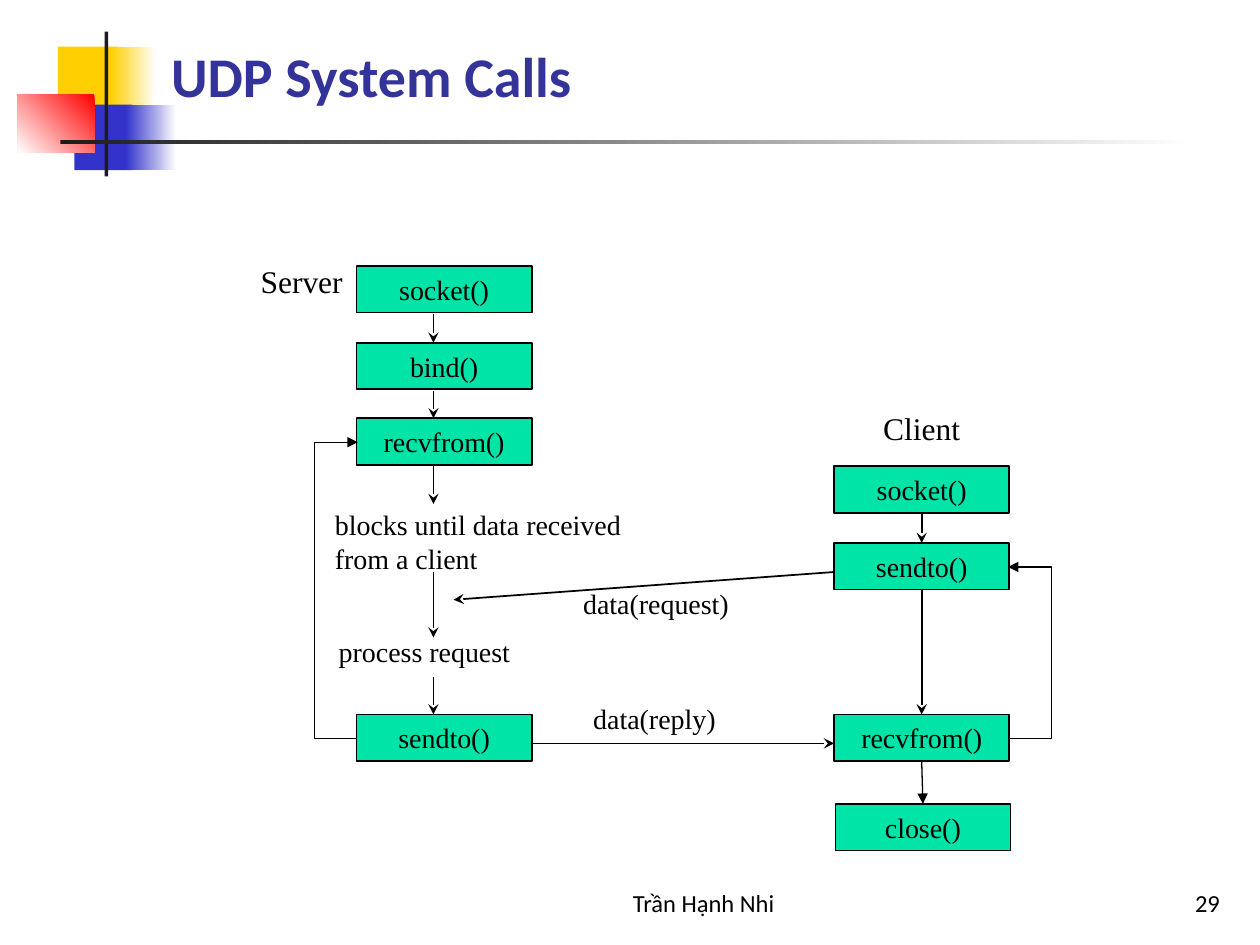
from lxml.etree import SubElement
from pptx import Presentation
from pptx.dml.color import RGBColor
from pptx.enum.shapes import MSO_CONNECTOR, MSO_SHAPE
from pptx.enum.text import MSO_ANCHOR, PP_ALIGN
from pptx.oxml.ns import qn
from pptx.util import Inches, Pt

WHITE = RGBColor(0xFF, 0xFF, 0xFF)
BLACK = RGBColor(0, 0, 0)
YELLOW = RGBColor(0xFF, 0xCF, 0x01)
BLUE = RGBColor(0x33, 0x33, 0xCC)
RED = RGBColor(0xFF, 0, 0)
CHARCOAL = RGBColor(0x1C, 0x1C, 0x1C)
NAVY = RGBColor(0x33, 0x33, 0x99)
GREEN = RGBColor(0, 0xE4, 0xA8)

SERIF = "Times New Roman"
SANS = "Calibri"
CALL_WIDTH, CALL_HEIGHT = 1.39, 0.37
SERVER_LEFT, CLIENT_LEFT = 2.83, 6.62
SERVER_ARROW_X = 3.44
LOOP_REACH, LOOP_INSET = 0.34, 0.01


def write(paragraph, text, size, font=SERIF, color=BLACK, bold=False):
    span = paragraph.add_run()
    span.text = text
    span.font.size = Pt(size)
    span.font.name = font
    span.font.color.rgb = color
    span.font.bold = bold


def add_rectangle(page, left, top, width, height):
    box = page.shapes.add_shape(
        MSO_SHAPE.RECTANGLE, Inches(left), Inches(top), Inches(width), Inches(height)
    )
    box.shadow.inherit = False
    return box


def add_ornament(page, place, color, fade_angle=None):
    box = add_rectangle(page, *place)
    box.line.fill.background()
    if fade_angle is None:
        box.fill.solid()
        box.fill.fore_color.rgb = color
        return
    box.fill.gradient()
    box.fill.gradient_angle = fade_angle
    for stop, shade in zip(box.fill.gradient_stops, (color, WHITE)):
        stop.color.rgb = shade


def add_call(page, left, top, name):
    box = add_rectangle(page, left, top, CALL_WIDTH, CALL_HEIGHT)
    box.fill.solid()
    box.fill.fore_color.rgb = GREEN
    box.line.color.rgb = BLACK
    box.line.width = Pt(1)
    box.text_frame.word_wrap = False
    box.text_frame.vertical_anchor = MSO_ANCHOR.MIDDLE
    paragraph = box.text_frame.paragraphs[0]
    paragraph.alignment = PP_ALIGN.CENTER
    write(paragraph, name, 16)
    return box


def add_text(page, place, text, size, align=PP_ALIGN.LEFT, anchor=MSO_ANCHOR.TOP,
             before=0, **style):
    box = page.shapes.add_textbox(*map(Inches, place))
    box.text_frame.word_wrap = True
    box.text_frame.vertical_anchor = anchor
    paragraph = box.text_frame.paragraphs[0]
    paragraph.alignment = align
    paragraph.space_before = Pt(before)
    write(paragraph, text, size, **style)


def add_arrow(page, start, end, head="stealth", width=1, kind=MSO_CONNECTOR.STRAIGHT):
    arrow = page.shapes.add_connector(kind, *map(Inches, (*start, *end)))
    arrow.line.color.rgb = BLACK
    arrow.line.width = Pt(width)
    SubElement(arrow.line._get_or_add_ln(), qn("a:tailEnd"), type=head)
    SubElement(arrow._element.spPr, qn("a:effectLst"))
    return arrow


def join_down(page, upper, lower, **style):
    arrow = add_arrow(page, (0, 0), (1, 1), **style)
    arrow.begin_connect(upper, 2)
    arrow.end_connect(lower, 0)


def add_loop(page, side, inward, start_y, end_y):
    arrow = add_arrow(
        page, (side, start_y), (side + inward * LOOP_INSET, end_y),
        head="triangle", width=0.75, kind=MSO_CONNECTOR.ELBOW,
    )
    guides = arrow._element.spPr.find(qn("a:prstGeom")).get_or_add_avLst()
    bend = round(-LOOP_REACH / LOOP_INSET * 100000)
    SubElement(guides, qn("a:gd"), name="adj1", fmla=f"val {bend}")


def add_header(page):
    add_ornament(page, (0.46, 0.37, 0.48, 0.52), YELLOW)
    add_ornament(page, (0.88, 0.37, 0.36, 0.52), YELLOW, 0)
    add_ornament(page, (0.59, 0.83, 0.46, 0.52), BLUE)
    add_ornament(page, (1, 0.83, 0.4, 0.52), BLUE, 0)
    add_ornament(page, (0.14, 0.75, 0.61, 0.46), RED, 225)
    add_ornament(page, (0.83, 0.25, 0.03, 1.15), CHARCOAL)
    add_ornament(page, (0.48, 1.11, 9, 0.03), CHARCOAL, 0)
    add_text(page, (1.26, 0.23, 8.52, 0.68), "UDP System Calls", 32,
             anchor=MSO_ANCHOR.BOTTOM, font=SANS, color=NAVY, bold=True)


def add_server(page):
    add_text(page, (1.97, 2.03, 1.33, 0.4), "Server", 18, before=11.2)
    calls = (("socket()", 2.11), ("bind()", 2.72), ("recvfrom()", 3.32), ("sendto()", 5.67))
    for name, top in calls:
        add_call(page, SERVER_LEFT, top, name)
    for start, end in ((2.49, 2.72), (3.1, 3.32), (3.7, 4), (4.54, 5.06), (5.37, 5.67)):
        add_arrow(page, (SERVER_ARROW_X, start), (SERVER_ARROW_X, end))
    add_text(page, (2.56, 3.98, 2.94, 0.63),
             "blocks until data received from a client", 16, before=10)
    add_text(page, (2.59, 4.99, 1.94, 0.37), "process request", 16, before=10)
    add_loop(page, SERVER_LEFT, 1, 5.86, 3.51)


def add_client(page):
    add_text(page, (6.73, 3.2, 1.17, 0.4), "Client", 18, PP_ALIGN.CENTER, before=11.2)
    opening = add_call(page, CLIENT_LEFT, 3.7, "socket()")
    sending = add_call(page, CLIENT_LEFT, 4.31, "sendto()")
    receiving = add_call(page, CLIENT_LEFT, 5.67, "recvfrom()")
    closing = add_call(page, CLIENT_LEFT + 0.01, 6.38, "close()")
    join_down(page, opening, sending)
    join_down(page, sending, receiving)
    join_down(page, receiving, closing, head="triangle", width=0.75)
    add_loop(page, CLIENT_LEFT + CALL_WIDTH, -1, 5.86, 4.5)


def add_messages(page):
    add_arrow(page, (CLIENT_LEFT, 4.54), (3.6, 4.76))
    add_text(page, (4.53, 4.61, 1.63, 0.37), "data(request)", 16, before=10)
    add_arrow(page, (SERVER_LEFT + CALL_WIDTH, 5.9), (CLIENT_LEFT, 5.9))
    add_text(page, (4.61, 5.52, 1.32, 0.37), "data(reply)", 16, before=10)


def add_footer(page):
    add_text(page, (4, 6.83, 3.17, 0.5), "Trần Hạnh Nhi", 14,
             PP_ALIGN.CENTER, MSO_ANCHOR.BOTTOM, font=SANS)
    add_text(page, (7.7, 6.83, 2.08, 0.5), "29", 14,
             PP_ALIGN.RIGHT, MSO_ANCHOR.BOTTOM, font=SANS)


def main():
    deck = Presentation()
    deck.slide_width, deck.slide_height = Inches(10), Inches(7.5)
    page = deck.slides.add_slide(deck.slide_layouts[6])
    add_header(page)
    add_server(page)
    add_client(page)
    add_messages(page)
    add_footer(page)
    deck.save("out.pptx")


if __name__ == "__main__":
    main()
